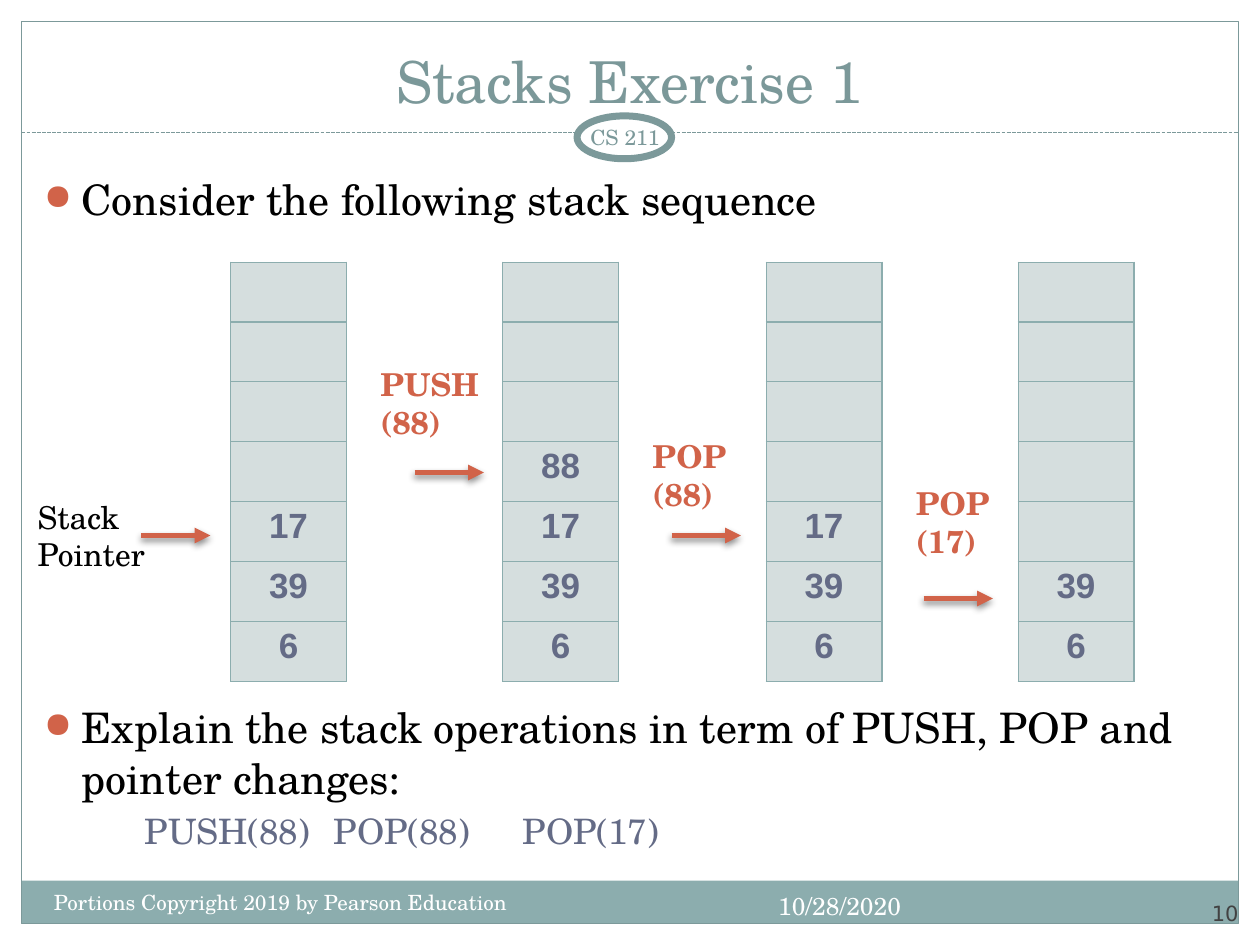
from lxml.etree import SubElement
from pptx import Presentation
from pptx.dml.color import RGBColor
from pptx.enum.dml import MSO_LINE
from pptx.enum.shapes import MSO_CONNECTOR, MSO_SHAPE
from pptx.enum.text import MSO_ANCHOR, PP_ALIGN
from pptx.oxml.ns import qn
from pptx.util import Inches, Pt

W, H = 10, 7.5
SERIF = "TeX Gyre Schola"
TEAL, BAND, ACCENT, SLATE, WHITE = "7C999A", "8CADAE", "D16349", "646B86", "FFFFFF"
CELL = "D5DEDE"
ROWS, ROW_H, STACK_W, STACK_TOP = 7, 3.33 / 7, 0.92, 2.08
ARROW_W, ARROW_BASE = 0.55, 3.75
LABEL_W, LABEL_H = 1.08, 0.71

STACKS = [
    dict(x=1.83, values=["17", "39", "6"], arrow=1.12,
         label=["Stack Pointer"], at=(0.2, 3.9), color="000000", bold=False),
    dict(x=3.99, values=["88", "17", "39", "6"], arrow=3.29,
         label=["PUSH", "(88)"], at=(2.92, 2.85), color=ACCENT, bold=True),
    dict(x=6.08, values=["17", "39", "6"], arrow=5.33,
         label=["POP", "(88)"], at=(5.08, 3.42), color=ACCENT, bold=True),
    dict(x=8.08, values=["39", "6"], arrow=7.33,
         label=["POP", "(17)"], at=(7.17, 3.79), color=ACCENT, bold=True),
]
BULLETS = [
    (1.33, 0.6, "Consider the following stack sequence", None),
    (5.52, 1.39, "Explain the stack operations in term of PUSH, POP and pointer changes:",
     "\tPUSH(88)\tPOP(88)\tPOP(17)"),
]


def rgb(value):
    return RGBColor.from_string(value)


def box(*at):
    return [Inches(v) for v in at]


def add_run(p, text, size, color, font=SERIF, bold=False):
    r = p.add_run()
    r.text = text
    r.font.size, r.font.name, r.font.bold = Pt(size), font, bold
    r.font.color.rgb = rgb(color)


def add_text(s, at, lines, size, color, align=PP_ALIGN.LEFT, anchor=MSO_ANCHOR.TOP,
             inset=None, font=SERIF, bold=False):
    tf = s.shapes.add_textbox(*box(*at)).text_frame
    tf.word_wrap = True
    tf.vertical_anchor = anchor
    if inset is not None:
        tf.margin_left = tf.margin_right = tf.margin_top = tf.margin_bottom = Inches(inset)
    for i, line in enumerate(lines):
        p = tf.add_paragraph() if i else tf.paragraphs[0]
        p.alignment = align
        add_run(p, line, size, color, font, bold)


def add_shape(s, kind, at, fill=None, line=None, width=0.75):
    sp = s.shapes.add_shape(kind, *box(*at))
    sp.shadow.inherit = False
    if fill:
        sp.fill.solid()
        sp.fill.fore_color.rgb = rgb(fill)
    else:
        sp.fill.background()
    if line:
        sp.line.color.rgb = rgb(line)
        sp.line.width = Pt(width)
    else:
        sp.line.fill.background()


def add_line(s, x1, x2, y, color, width):
    c = s.shapes.add_connector(MSO_CONNECTOR.STRAIGHT, *box(x1, y, x2, y))
    c.line.color.rgb = rgb(color)
    c.line.width = Pt(width)
    effects = SubElement(c._element.spPr, qn("a:effectLst"))
    return c, effects


def add_arrow(s, x, y):
    c, effects = add_line(s, x, x + ARROW_W, y, ACCENT, 3)
    SubElement(c.line._get_or_add_ln(), qn("a:tailEnd"), type="triangle")
    shadow = SubElement(effects, qn("a:outerShdw"), blurRad=str(Pt(4)), dist=str(Pt(2)),
                        dir="5400000", rotWithShape="0")
    color = SubElement(shadow, qn("a:srgbClr"), val="000000")
    SubElement(color, qn("a:alpha"), val="45000")


def add_border(cell):
    tcPr = cell._tc.get_or_add_tcPr()
    for i, side in enumerate(("lnL", "lnR", "lnT", "lnB")):
        ln = SubElement(tcPr, qn("a:" + side), w=str(Pt(0.75)))
        SubElement(SubElement(ln, qn("a:solidFill")), qn("a:srgbClr"), val=BAND)
        tcPr.insert(i, ln)


def add_stack(s, x, values):
    table = s.shapes.add_table(ROWS, 1, *box(x, STACK_TOP, STACK_W, ROWS * ROW_H)).table
    table.first_row = table.horz_banding = False
    for i, value in enumerate([""] * (ROWS - len(values)) + values):
        table.rows[i].height = Inches(ROW_H)
        cell = table.cell(i, 0)
        cell.margin_top = cell.margin_bottom = Inches(0.04)
        cell.fill.solid()
        cell.fill.fore_color.rgb = rgb(CELL)
        add_border(cell)
        if value:
            p = cell.text_frame.paragraphs[0]
            p.alignment = PP_ALIGN.CENTER
            add_run(p, value, 20, SLATE, "Arial", True)


def add_bullet(s, top, height, text, answers):
    tf = s.shapes.add_textbox(*box(0.25, top, 9.5, height)).text_frame
    tf.word_wrap = True
    p = tf.paragraphs[0]
    pPr = p._p.get_or_add_pPr()
    pPr.set("marL", str(Inches(0.3)))
    pPr.set("indent", str(Inches(-0.3)))
    SubElement(SubElement(pPr, qn("a:buClr")), qn("a:srgbClr"), val=ACCENT)
    SubElement(pPr, qn("a:buSzPct"), val="85000")
    SubElement(pPr, qn("a:buChar"), char="●")
    add_run(p, text, 24, "000000")
    if answers:
        p = tf.add_paragraph()
        p._p.get_or_add_pPr().set("marL", str(Inches(0.3)))
        p.space_before = Pt(4)
        add_run(p, answers, 20, SLATE)


def add_frame(s):
    edge = 0.17
    add_shape(s, MSO_SHAPE.RECTANGLE, (edge, 6.99, W - 2 * edge, 0.34), BAND)
    add_shape(s, MSO_SHAPE.RECTANGLE, (edge, edge, W - 2 * edge, H - 2 * edge), line=TEAL)
    rule, _ = add_line(s, edge, W - edge, 1.05, TEAL, 0.75)
    rule.line.dash_style = MSO_LINE.SQUARE_DOT
    add_shape(s, MSO_SHAPE.OVAL, (4.58, 0.92, 0.75, 0.34), WHITE, TEAL, 4)


def main():
    prs = Presentation()
    prs.slide_width, prs.slide_height = Inches(W), Inches(H)
    s = prs.slides.add_slide(prs.slide_layouts[6])
    add_frame(s)
    add_text(s, (0.33, 0.25, 9.33, 0.71), ["Stacks Exercise 1"], 33, "7B9899",
             PP_ALIGN.CENTER, MSO_ANCHOR.BOTTOM)
    add_text(s, (4.5, 0.92, 0.92, 0.33), ["CS 211"], 12, TEAL,
             PP_ALIGN.CENTER, MSO_ANCHOR.MIDDLE, 0.05)
    for bullet in BULLETS:
        add_bullet(s, *bullet)
    for stack in STACKS:
        add_stack(s, stack["x"], stack["values"])
        add_text(s, (*stack["at"], LABEL_W, LABEL_H), stack["label"], 18,
                 stack["color"], bold=stack["bold"])
        add_arrow(s, stack["arrow"], ARROW_BASE + 0.5 * (4 - len(stack["values"])))
    add_text(s, (0.33, 7.01, 4.08, 0.4), ["Portions Copyright 2019 by Pearson Education"],
             12, WHITE)
    add_text(s, (5.59, 7.02, 1.66, 0.4), ["10/28/2020"], 14, WHITE, PP_ALIGN.RIGHT)
    add_text(s, (9, 6.95, 0.83, 0.4), ["10"], 12, "424242", PP_ALIGN.RIGHT,
             MSO_ANCHOR.BOTTOM, 0, "DejaVu Sans")
    prs.save("out.pptx")


if __name__ == "__main__":
    main()
